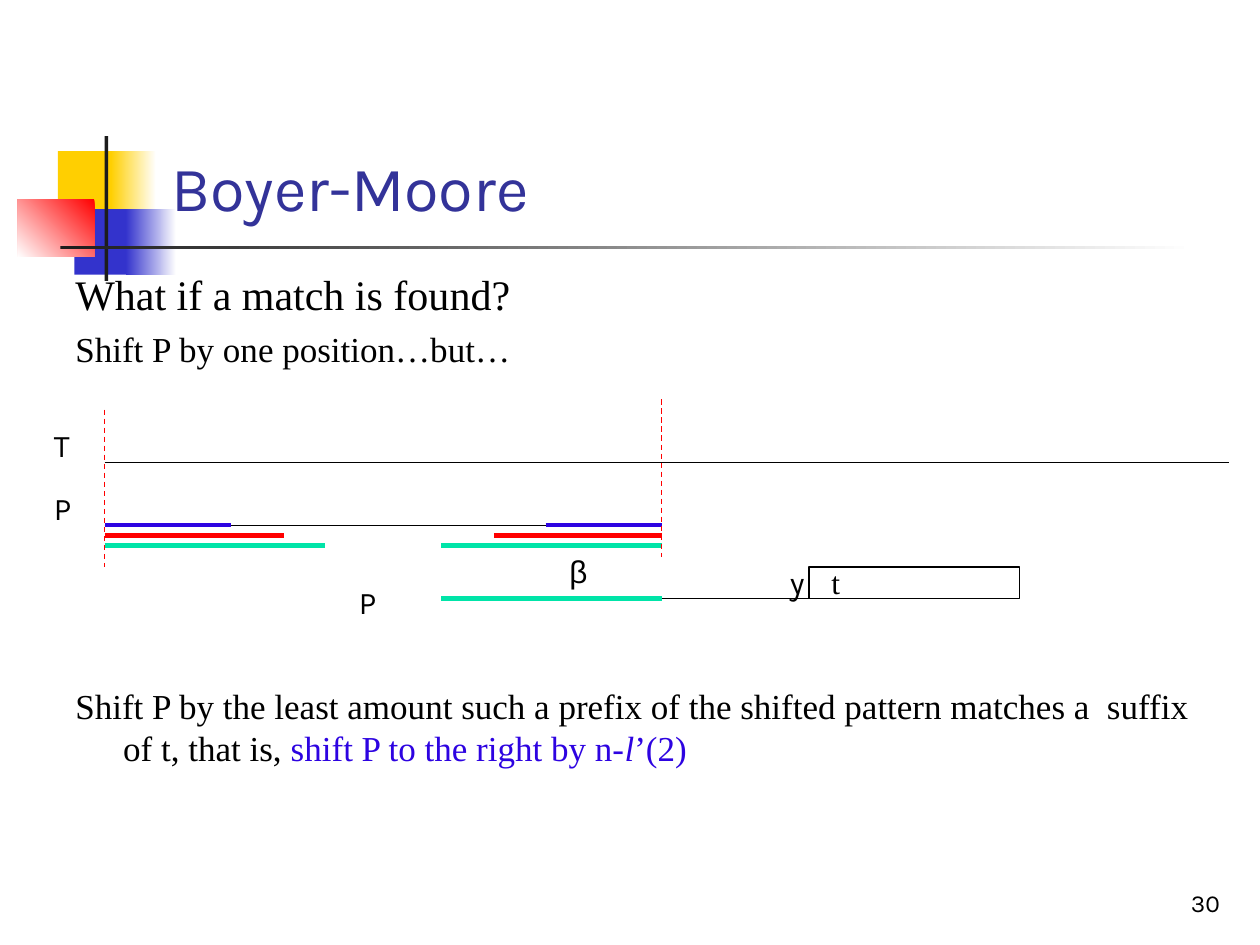
"""Build the Boyer-Moore slide about shifting the pattern after a match."""
from lxml import etree
from pptx import Presentation
from pptx import util as u
from pptx.dml.color import RGBColor
from pptx.enum import dml, shapes, text
from pptx.oxml.ns import qn

COLORS = {
    "black": "000000", "white": "FFFFFF", "ink": "1C1C1C", "title": "333399",
    "yellow": "FFCF01", "navy": "3333CC", "red": "FF0000",
    "blue": "2D03E1", "green": "00E4A8",
}
SANS, SERIF, GREEK = "Karla", "Times New Roman", "Arial"
LEFT, RIGHT = 0.83, 5.25
TEXT_Y, PATTERN_Y, SHIFTED_Y = 3.67, 4.17, 4.75


def color(name):
    return RGBColor.from_string(COLORS[name])


class Canvas:
    """Style and current slide, with a method for each kind of element."""

    def __init__(self, slide):
        self.slide = slide

    def add_span(self, para, words, size, font=SANS, ink="black", italic=False):
        span = para.add_run()
        span.text = words
        values = {"name": font, "size": u.Pt(size), "italic": italic}
        for key, value in values.items():
            setattr(span.font, key, value)
        span.font.color.rgb = color(ink)

    def place(self, box, left, top, width, height):
        lengths = {"left": left, "top": top, "width": width, "height": height}
        for key, value in lengths.items():
            setattr(box, key, u.Inches(value))

    def title(self, words, *area):
        box = self.slide.shapes.title
        self.place(box, *area)
        frame = box.text_frame
        frame.vertical_anchor = text.MSO_ANCHOR.BOTTOM
        frame.auto_size = text.MSO_AUTO_SIZE.NONE
        frame.paragraphs[0].alignment = text.PP_ALIGN.LEFT
        self.add_span(frame.paragraphs[0], words, 36, ink="title")

    def frame(self, *area, wrap=True):
        box = self.slide.shapes.add_textbox(*map(u.Inches, area))
        box.text_frame.word_wrap = wrap
        return box.text_frame

    def label(self, words, *area, font=SANS, wrap=True):
        frame = self.frame(*area, wrap=wrap)
        self.add_span(frame.paragraphs[0], words, 18, font)

    def body(self, paragraphs, *area):
        frame = self.frame(*area)
        for index, (before, size, spans) in enumerate(paragraphs):
            para = frame.add_paragraph() if index else frame.paragraphs[0]
            properties = para._p.get_or_add_pPr()
            properties.set("marL", str(u.Inches(0.38)))
            properties.set("indent", str(u.Inches(-0.38)))
            para.space_before = u.Pt(before)
            for words, ink, italic in spans:
                self.add_span(para, words, size, SERIF, ink, italic)

    def number(self, words, *area):
        frame = self.frame(*area)
        frame.vertical_anchor = text.MSO_ANCHOR.BOTTOM
        frame.paragraphs[0].alignment = text.PP_ALIGN.RIGHT
        self.add_span(frame.paragraphs[0], words, 14)

    def shape(self, kind, *area):
        box = self.slide.shapes.add_shape(kind, *map(u.Inches, area))
        box.shadow.inherit = False
        return box

    def block(self, ink, *area, fade=None):
        box = self.shape(shapes.MSO_SHAPE.RECTANGLE, *area)
        box.line.fill.background()
        if fade is None:
            box.fill.solid()
            box.fill.fore_color.rgb = color(ink)
            return
        box.fill.gradient()
        box.fill.gradient_angle = fade
        for stop, name in zip(box.fill.gradient_stops, (ink, "white")):
            stop.color.rgb = color(name)

    def process(self, *area):
        box = self.shape(shapes.MSO_SHAPE.FLOWCHART_PROCESS, *area)
        box.fill.background()
        box.line.color.rgb = color("black")
        box.line.width = u.Pt(0.75)

    def line(self, x1, y1, x2, y2, ink="black", width=0.75, dashed=False):
        line = self.slide.shapes.add_connector(
            shapes.MSO_CONNECTOR.STRAIGHT, *map(u.Inches, (x1, y1, x2, y2)))
        line.line.color.rgb = color(ink)
        line.line.width = u.Pt(width)
        if dashed:
            line.line.dash_style = dml.MSO_LINE.DASH
        etree.SubElement(line._element.spPr, qn("a:effectLst"))


def main():
    deck = Presentation()
    deck.slide_width, deck.slide_height = u.Inches(10), u.Inches(7.5)
    page = Canvas(deck.slides.add_slide(deck.slide_layouts[5]))

    page.block("yellow", 0.46, 1.2, 0.48, 0.52)
    page.block("yellow", 0.88, 1.2, 0.36, 0.52, fade=0)
    page.block("navy", 0.59, 1.66, 0.46, 0.52)
    page.block("navy", 1, 1.66, 0.4, 0.52, fade=0)
    page.block("red", 0.14, 1.58, 0.61, 0.46, fade=225)
    page.block("ink", 0.83, 1.08, 0.03, 1.15)
    page.block("ink", 0.48, 1.95, 9, 0.03, fade=0)

    page.title("Boyer-Moore", 1.26, 0.23, 8.52, 1.6)
    page.body([
        (0, 24, [("What if a match is found?", "black", False)]),
        (5, 20, [("Shift P by one position…but…", "black", False)]),
        (180, 20, [
            ("Shift P by the least amount such a prefix of the shifted "
             "pattern matches a  suffix of t, that is, ", "black", False),
            ("shift P to the right by n-", "blue", False),
            ("l", "blue", True),
            ("’(2)", "blue", False),
        ]),
    ], 0.5, 2.08, 9.04, 4.5)

    page.line(LEFT, TEXT_Y, 9.75, TEXT_Y)
    page.line(LEFT, PATTERN_Y, RIGHT, PATTERN_Y)
    page.line(4, SHIFTED_Y, 8.08, SHIFTED_Y)
    page.process(6.42, 4.5, 1.67, 0.25)

    page.label("y", 6.17, 4.42, 0.33, 0.4, wrap=False)
    page.label("t", 6.5, 4.42, 0.27, 0.4, font=SERIF, wrap=False)
    page.label("T", 0.33, 3.33, 0.42, 0.4)
    page.label("P", 0.33, 3.83, 0.42, 0.4)
    page.label("P", 2.75, 4.58, 0.5, 0.4)
    page.label("β", 4.42, 4.33, 0.34, 0.4, font=GREEK, wrap=False)

    for y, prefix_end, suffix_start, ink, width in (
        (PATTERN_Y, 1.83, 4.33, "blue", 2.25),
        (4.25, 2.25, 3.92, "red", 3),
        (4.33, 2.58, 3.5, "green", 3),
    ):
        page.line(LEFT, y, prefix_end, y, ink, width)
        page.line(suffix_start, y, RIGHT, y, ink, width)
    page.line(3.5, SHIFTED_Y, RIGHT, SHIFTED_Y, "green", 3)

    for x, top in ((LEFT, 3.25), (RIGHT, 3.17)):
        page.line(x, top, x, top + 1.25, "red", dashed=True)
    page.number("30", 7.7, 6.83, 2.08, 0.5)

    deck.save("out.pptx")


if __name__ == "__main__":
    main()
